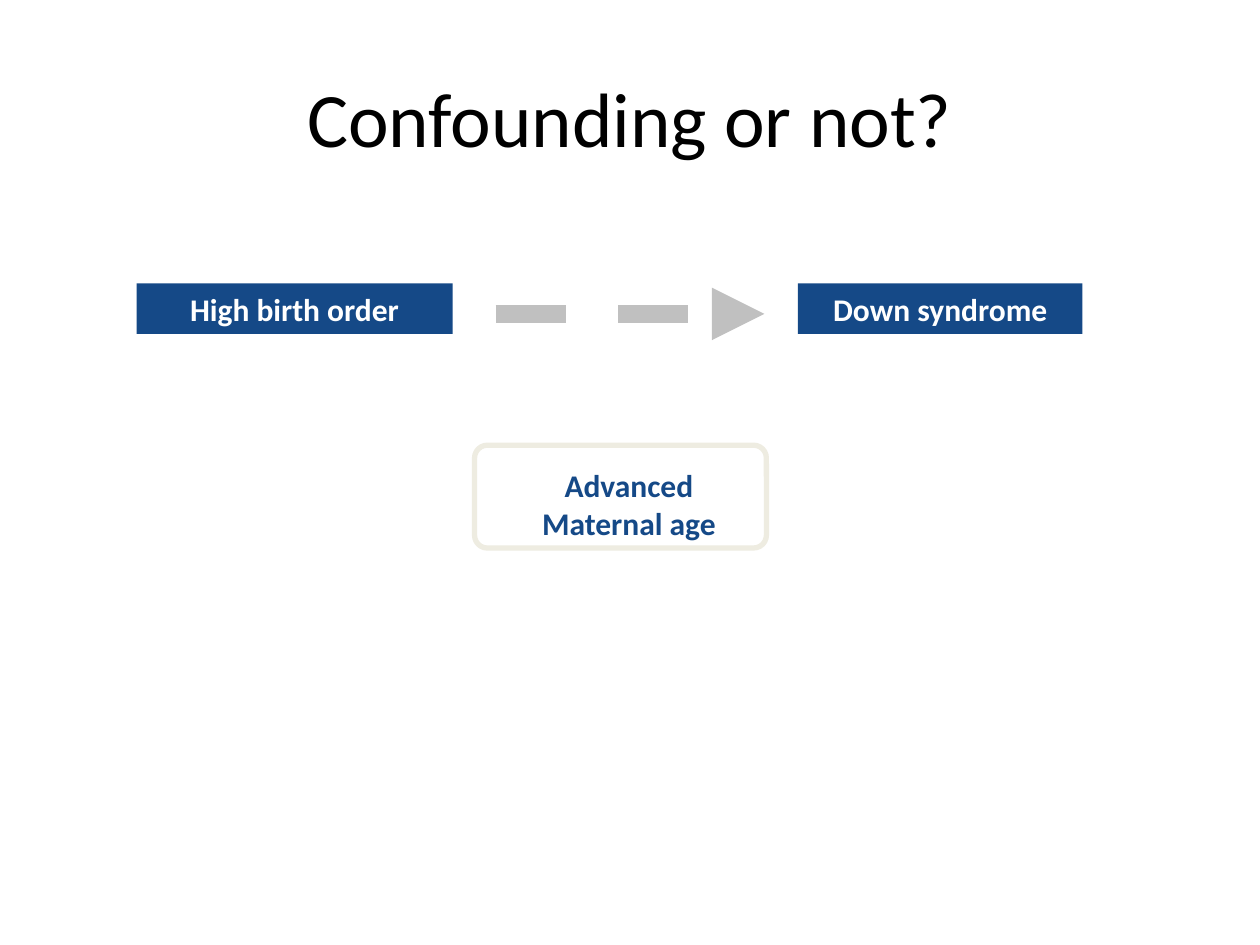
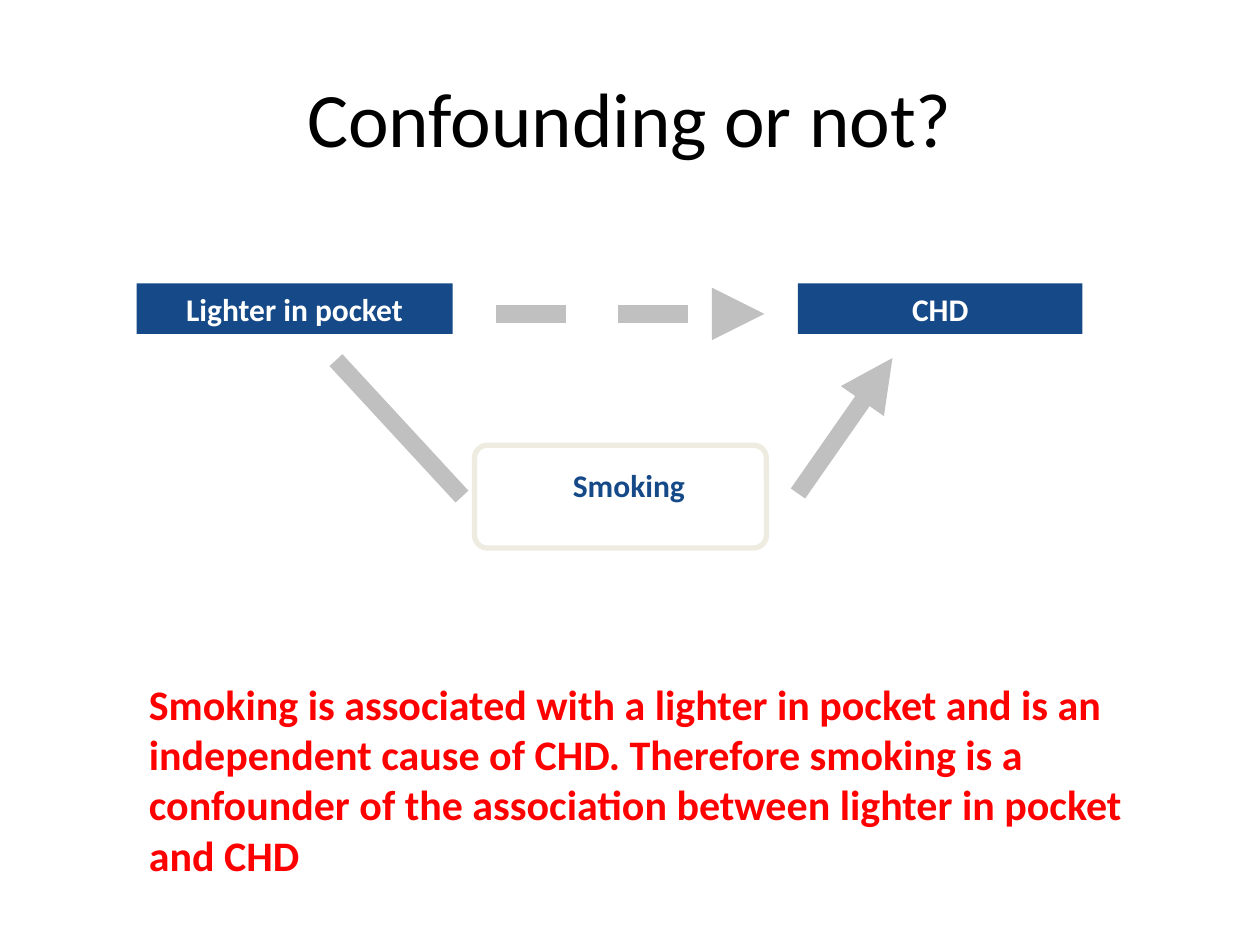
"""Two slides asking whether a third factor confounds an association."""
from dataclasses import dataclass
from typing import NamedTuple, Optional

from lxml import etree
from pptx import Presentation
from pptx import util as u
from pptx.dml.color import RGBColor
from pptx.enum import dml, shapes, text
from pptx.oxml.ns import qn


@dataclass(frozen=True)
class Theme:
    """Colours, font and sizes in points shared by the slides."""
    font: str = "Calibri"
    ink: str = "000000"
    navy: str = "154987"
    white: str = "FFFFFF"
    arrow: str = "C0C0C0"
    frame: str = "EEECE1"
    answer: str = "FF0000"
    title_size: int = 44
    label_size: int = 18
    answer_size: int = 24
    arrow_width: int = 10
    frame_width: int = 3


class Area(NamedTuple):
    """Left, top, width and height in grid columns and rows."""
    left: float
    top: float
    width: float
    height: float


class Link(NamedTuple):
    """A line between two grid points, with its ending and dash."""
    start: tuple[float, float]
    end: tuple[float, float]
    arrowhead: bool = True
    dashed: bool = False


@dataclass(frozen=True)
class Question:
    """The wording of one slide, with the answer if it is shown."""
    exposure: str
    outcome: str
    factor: str
    factor_lines: int = 1
    answer: Optional[str] = None


THEME = Theme()
COLUMNS, ROWS = 120, 90
WIDTH, HEIGHT = u.Inches(10), u.Inches(7.5)

TITLE = Area(6, 3.6, 108, 15)
EXPOSURE = Area(13, 27, 30.1, 4.8)
OUTCOME = Area(76, 27, 27.1, 4.8)
FRAME = Area(45.2, 42.4, 27.8, 9.8)
FACTOR = Area(48, 43.8, 23.8, 4.8)
LINE_ROWS = 3.6
ANSWER = Area(13, 64, 97, 20.6)

ASSOCIATION = Link((47.2, 29.9), (72.8, 29.9), dashed=True)
FACTOR_EXPOSURE = Link((44, 47.3), (32, 34.3), arrowhead=False)
FACTOR_OUTCOME = Link((76, 47), (85, 34.1))

QUESTIONS = (
    Question("High birth order", "Down syndrome", "Advanced Maternal age", 2),
    Question("Lighter in pocket", "CHD", "Smoking",
             answer="Smoking is associated with a lighter in pocket and is an "
                    "independent cause of CHD. Therefore smoking is a confounder "
                    "of the association between lighter in pocket and CHD"),
)


def point(column: float, row: float) -> tuple[int, int]:
    """Turn grid columns and rows into slide lengths."""
    return round(WIDTH * column / COLUMNS), round(HEIGHT * row / ROWS)


def place(area: Area) -> tuple[int, int, int, int]:
    """Turn a grid area into left, top, width and height."""
    return (*point(area.left, area.top), *point(area.width, area.height))


def write(holder, words: str, *, size: int, color: str, bold: bool = True,
          align=text.PP_ALIGN.CENTER, anchor=text.MSO_ANCHOR.TOP, grow: bool = True) -> None:
    """Put formatted, wrapping text into a shape or text box."""
    frame = holder.text_frame
    frame.word_wrap = True
    frame.vertical_anchor = anchor
    frame.auto_size = (text.MSO_AUTO_SIZE.SHAPE_TO_FIT_TEXT if grow
                       else text.MSO_AUTO_SIZE.NONE)
    paragraph = frame.paragraphs[0]
    paragraph.alignment = align
    run = paragraph.add_run()
    run.text = words
    run.font.name, run.font.size, run.font.bold = THEME.font, u.Pt(size), bold
    run.font.color.rgb = RGBColor.from_string(color)


def add_band(slide, area: Area, words: str) -> None:
    """Draw a filled box naming the exposure or the outcome."""
    band = slide.shapes.add_shape(shapes.MSO_SHAPE.RECTANGLE, *place(area))
    band.shadow.inherit = False
    band.fill.solid()
    band.fill.fore_color.rgb = RGBColor.from_string(THEME.navy)
    band.line.fill.background()
    write(band, words, size=THEME.label_size, color=THEME.white)


def add_factor(slide, words: str, lines: int) -> None:
    """Draw the rounded frame and the name of the third factor."""
    frame = slide.shapes.add_shape(shapes.MSO_SHAPE.ROUNDED_RECTANGLE, *place(FRAME))
    frame.adjustments[0] = 0.125
    frame.shadow.inherit = False
    frame.fill.background()
    frame.line.color.rgb = RGBColor.from_string(THEME.frame)
    frame.line.width = u.Pt(THEME.frame_width)
    area = FACTOR._replace(height=FACTOR.height + (lines - 1) * LINE_ROWS)
    write(slide.shapes.add_textbox(*place(area)), words,
          size=THEME.label_size, color=THEME.navy)


def add_link(slide, link: Link) -> None:
    """Draw a thick line, dashed or with an arrowhead as the link says."""
    connector = slide.shapes.add_connector(
        shapes.MSO_CONNECTOR.STRAIGHT, *point(*link.start), *point(*link.end))
    line = connector.line
    line.color.rgb = RGBColor.from_string(THEME.arrow)
    line.width = u.Pt(THEME.arrow_width)
    if link.dashed:
        line.dash_style = dml.MSO_LINE.DASH
    properties = connector._element.spPr
    if link.arrowhead:
        etree.SubElement(properties.find(qn("a:ln")), qn("a:tailEnd"), type="triangle")
    etree.SubElement(properties, qn("a:effectLst"))


def add_question(deck, question: Question) -> None:
    """Build one slide: title, association, third factor and answer."""
    slide = deck.slides.add_slide(deck.slide_layouts[6])
    write(slide.shapes.add_textbox(*place(TITLE)), "Confounding or not?",
          size=THEME.title_size, color=THEME.ink, bold=False,
          anchor=text.MSO_ANCHOR.MIDDLE, grow=False)
    add_band(slide, EXPOSURE, question.exposure)
    add_band(slide, OUTCOME, question.outcome)
    add_link(slide, ASSOCIATION)
    add_factor(slide, question.factor, question.factor_lines)
    if question.answer:
        add_link(slide, FACTOR_EXPOSURE)
        write(slide.shapes.add_textbox(*place(ANSWER)), question.answer,
              size=THEME.answer_size, color=THEME.answer, align=text.PP_ALIGN.LEFT)
        add_link(slide, FACTOR_OUTCOME)


def main() -> None:
    """Build and save the deck."""
    deck = Presentation()
    deck.slide_width, deck.slide_height = WIDTH, HEIGHT
    for question in QUESTIONS:
        add_question(deck, question)
    deck.save("out.pptx")


main()
